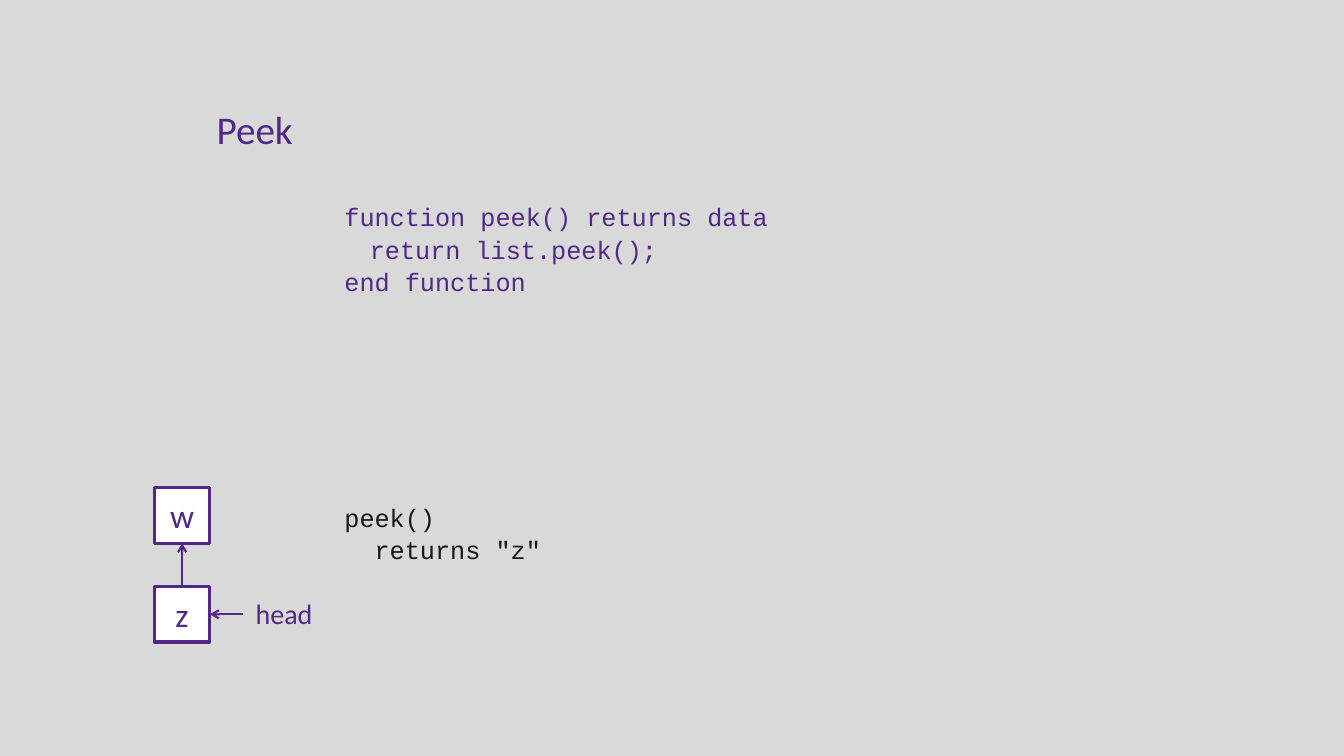
from dataclasses import dataclass

from lxml.etree import SubElement
from pptx import Presentation
from pptx.dml.color import RGBColor
from pptx.enum.shapes import MSO_CONNECTOR, MSO_SHAPE
from pptx.enum.text import MSO_ANCHOR, MSO_AUTO_SIZE, PP_ALIGN
from pptx.oxml.ns import qn
from pptx.slide import Slide
from pptx.text.text import TextFrame, _Paragraph
from pptx.util import Cm, Pt

PURPLE = "512888"
BLACK = "181717"
WHITE = "FFFFFF"
GREY = "D9D9D9"

NODE_X = 3.89
NODE_SIZE = 1.4
NODE_TOP = 12.29
NODE_STEP = 2.49
CODE_X = 8.43
TAB_STOPS = (0.64, 1.27, 4.45, 5.08)


@dataclass
class Label:
    lines: tuple[str, ...]
    x: float
    y: float
    w: float
    h: float
    size: float
    font: str = "Calibri"
    color: str = PURPLE
    align: PP_ALIGN = PP_ALIGN.LEFT
    wrap: bool = True
    code: bool = False


@dataclass
class Node:
    value: str
    y: float


@dataclass
class Arrow:
    x1: float
    y1: float
    x2: float
    y2: float


def rgb(color: str) -> RGBColor:
    return RGBColor.from_string(color)


def add_run(p: _Paragraph, text: str, size: float, font: str, color: str) -> None:
    r = p.add_run()
    r.text = text
    r.font.size = Pt(size)
    r.font.name = font
    r.font.color.rgb = rgb(color)


def format_code(p: _Paragraph) -> None:
    tabs = SubElement(p._p.get_or_add_pPr(), qn("a:tabLst"))
    for stop in TAB_STOPS:
        SubElement(tabs, qn("a:tab"), pos=str(Cm(stop)), algn="l")
    p.line_spacing = 1.07


def fill_text(tf: TextFrame, label: Label) -> None:
    for i, line in enumerate(label.lines):
        p = tf.add_paragraph() if i else tf.paragraphs[0]
        if label.code:
            format_code(p)
        p.alignment = label.align
        add_run(p, line, label.size, label.font, label.color)


def draw_label(s: Slide, label: Label) -> None:
    sp = s.shapes.add_textbox(Cm(label.x), Cm(label.y), Cm(label.w), Cm(label.h))
    tf = sp.text_frame
    tf.word_wrap = label.wrap
    tf.auto_size = MSO_AUTO_SIZE.SHAPE_TO_FIT_TEXT
    fill_text(tf, label)


def draw_node(s: Slide, node: Node) -> None:
    sp = s.shapes.add_shape(
        MSO_SHAPE.RECTANGLE, Cm(NODE_X), Cm(node.y), Cm(NODE_SIZE), Cm(NODE_SIZE)
    )
    sp.shadow.inherit = False
    sp.fill.solid()
    sp.fill.fore_color.rgb = rgb(WHITE)
    sp.line.color.rgb = rgb(PURPLE)
    sp.line.width = Pt(2.25)
    tf = sp.text_frame
    tf.vertical_anchor = MSO_ANCHOR.MIDDLE
    p = tf.paragraphs[0]
    p.alignment = PP_ALIGN.CENTER
    add_run(p, node.value, 24, "Calibri", PURPLE)


def draw_arrow(s: Slide, arrow: Arrow) -> None:
    sp = s.shapes.add_connector(
        MSO_CONNECTOR.STRAIGHT,
        Cm(arrow.x1), Cm(arrow.y1), Cm(arrow.x2), Cm(arrow.y2),
    )
    sp.line.color.rgb = rgb(PURPLE)
    sp.line.width = Pt(1.5)
    SubElement(sp.line._get_or_add_ln(), qn("a:tailEnd"), type="arrow")
    SubElement(sp._element.spPr, qn("a:effectLst"))


def main() -> None:
    prs = Presentation()
    prs.slide_width = Cm(33.87)
    prs.slide_height = Cm(19.05)
    s = prs.slides.add_slide(prs.slide_layouts[6])
    s.background.fill.solid()
    s.background.fill.fore_color.rgb = rgb(GREY)

    nodes = [Node(v, NODE_TOP + i * NODE_STEP) for i, v in enumerate("wz")]
    tail, head = nodes
    mid_x = NODE_X + NODE_SIZE / 2
    mid_y = head.y + NODE_SIZE / 2
    head_x = 6.12

    labels = [
        Label(("Peek",), 5.21, 2.54, 2.49, 1.45, 28, wrap=False),
        Label(("head",), head_x, 14.91, 2.08, 1.12, 20, align=PP_ALIGN.CENTER),
        Label(
            ("function peek() returns data", "\treturn list.peek();", "end function"),
            CODE_X, 4.9, 12.47, 2.69, 18, "Courier New", code=True,
        ),
        Label(
            ("peek()", '  returns "z"'),
            CODE_X, 12.47, 7.01, 1.85, 18, "Courier New", BLACK, code=True,
        ),
    ]
    arrows = [
        Arrow(head_x, mid_y, NODE_X + NODE_SIZE, mid_y),
        Arrow(mid_x, head.y, mid_x, tail.y + NODE_SIZE),
    ]

    for node in nodes:
        draw_node(s, node)
    for arrow in arrows:
        draw_arrow(s, arrow)
    for label in labels:
        draw_label(s, label)
    prs.save("out.pptx")


if __name__ == "__main__":
    main()
